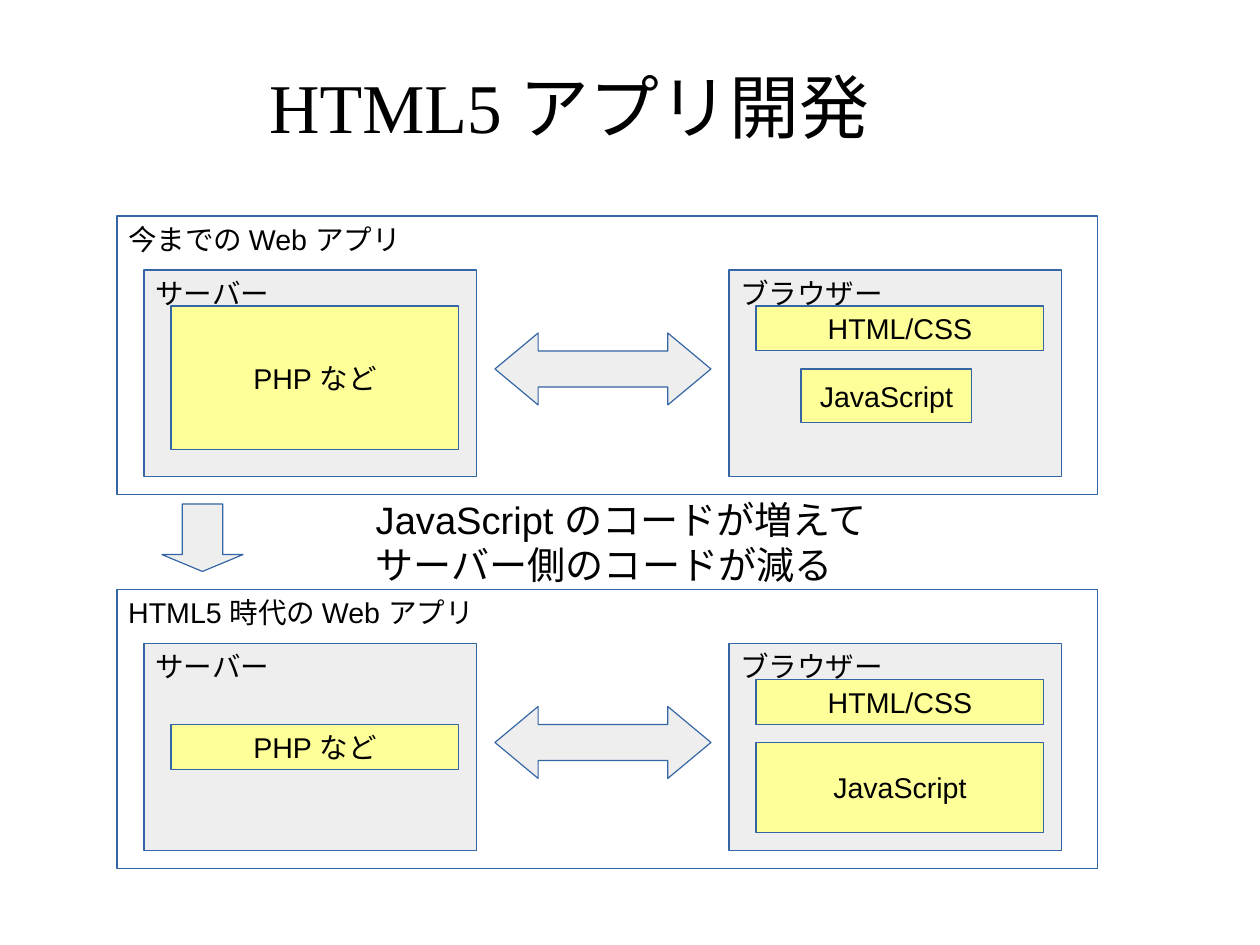
from dataclasses import dataclass

from pptx import Presentation
from pptx.dml.color import RGBColor
from pptx.enum.shapes import MSO_SHAPE
from pptx.enum.text import MSO_ANCHOR, PP_ALIGN
from pptx.util import Mm, Pt


@dataclass(frozen=True)
class Theme:
    """Colours, fonts and type sizes of the slide."""

    ink: RGBColor = RGBColor(0x00, 0x00, 0x00)
    outline: RGBColor = RGBColor(0x34, 0x65, 0xA4)
    paper: RGBColor = RGBColor(0xFF, 0xFF, 0xFF)
    machine: RGBColor = RGBColor(0xEE, 0xEE, 0xEE)
    code: RGBColor = RGBColor(0xFF, 0xFF, 0x99)
    title_font: str = "Times New Roman"
    body_font: str = "Arial"
    title_size: int = 44
    caption_size: int = 24
    label_size: int = 18


@dataclass(frozen=True)
class Box:
    """A rectangle in columns and rows of the slide grid."""

    column: float
    row: float
    columns: float
    rows: float

    def inner(self, column, row, columns, rows):
        """Return a box placed relative to this one."""
        return Box(self.column + column, self.row + row, columns, rows)

    def lengths(self):
        """Return left, top, width and height as slide lengths."""
        return [Mm(cells * CELL) for cells in (self.column, self.row, self.columns, self.rows)]


THEME = Theme()
CELL = 2
SLIDE = Box(0, 0, 140, 105)


def write(text_frame, lines, size, font=THEME.body_font, align=PP_ALIGN.LEFT, anchor=MSO_ANCHOR.TOP):
    """Write one paragraph per line into a text frame."""
    text_frame.word_wrap = True
    text_frame.vertical_anchor = anchor
    for index, line in enumerate(lines):
        paragraph = text_frame.add_paragraph() if index else text_frame.paragraphs[0]
        paragraph.alignment = align
        run = paragraph.add_run()
        run.text = line
        run.font.name = font
        run.font.size = Pt(size)
        run.font.color.rgb = THEME.ink


def add_figure(slide, kind, box, fill, adjustments=()):
    """Add a preset shape with a hairline outline."""
    shape = slide.shapes.add_shape(kind, *box.lengths())
    shape.shadow.inherit = False
    shape.fill.solid()
    shape.fill.fore_color.rgb = fill
    shape.line.color.rgb = THEME.outline
    shape.line.width = Pt(0)
    for index, value in enumerate(adjustments):
        shape.adjustments[index] = value
    return shape


def add_frame(slide, box, label, fill):
    """Add a rectangle labelled at its top left."""
    shape = add_figure(slide, MSO_SHAPE.RECTANGLE, box, fill)
    write(shape.text_frame, [label], THEME.label_size)


def add_code(slide, box, label):
    """Add a code block with a centred label."""
    shape = add_figure(slide, MSO_SHAPE.RECTANGLE, box, THEME.code)
    write(shape.text_frame, [label], THEME.label_size, align=PP_ALIGN.CENTER, anchor=MSO_ANCHOR.MIDDLE)


def add_title(slide, box, text):
    """Place the title placeholder and fill it."""
    title = slide.shapes.title
    title.left, title.top, title.width, title.height = box.lengths()
    frame = title.text_frame
    frame.margin_left = frame.margin_right = frame.margin_top = frame.margin_bottom = 0
    write(frame, [text], THEME.title_size, THEME.title_font, PP_ALIGN.CENTER, MSO_ANCHOR.MIDDLE)


def add_web_app(slide, box, label, php, javascript):
    """Draw one generation of web app: server, browser and their exchange."""
    add_frame(slide, box, label, THEME.paper)
    add_frame(slide, box.inner(3, 6, 37, 23), "サーバー", THEME.machine)
    add_frame(slide, box.inner(68, 6, 37, 23), "ブラウザー", THEME.machine)
    add_code(slide, box.inner(*php), "PHP など")
    add_code(slide, box.inner(71, 10, 32, 5), "HTML/CSS")
    add_code(slide, box.inner(*javascript), "JavaScript")
    add_figure(slide, MSO_SHAPE.LEFT_RIGHT_ARROW, box.inner(42, 13, 24, 8), THEME.machine, (0.5, 0.6))


def add_transition(slide, box):
    """Draw the down arrow and the caption between the two generations."""
    add_figure(slide, MSO_SHAPE.DOWN_ARROW, box.inner(5, 1.5, 9, 7.5), THEME.machine, (0.5, 0.25))
    caption = slide.shapes.add_textbox(*box.inner(27.5, 0, 67, 13.5).lengths())
    write(caption.text_frame, ["JavaScript のコードが増えて", "サーバー側のコードが減る"], THEME.caption_size)


def main():
    """Build the slide and save it."""
    presentation = Presentation()
    _, _, presentation.slide_width, presentation.slide_height = SLIDE.lengths()
    slide = presentation.slides.add_slide(presentation.slide_layouts[5])
    add_title(slide, SLIDE.inner(7, 4, 112.5, 15.5), "HTML5 アプリ開発")
    add_web_app(slide, SLIDE.inner(13, 24, 109, 31), "今までの Web アプリ",
                php=(6, 10, 32, 16), javascript=(76, 17, 19, 6))
    add_web_app(slide, SLIDE.inner(13, 65.5, 109, 31), "HTML5 時代の Web アプリ",
                php=(6, 15, 32, 5), javascript=(71, 17, 32, 10))
    add_transition(slide, SLIDE.inner(13, 54.5, 109, 13.5))
    presentation.save("out.pptx")


if __name__ == "__main__":
    main()
